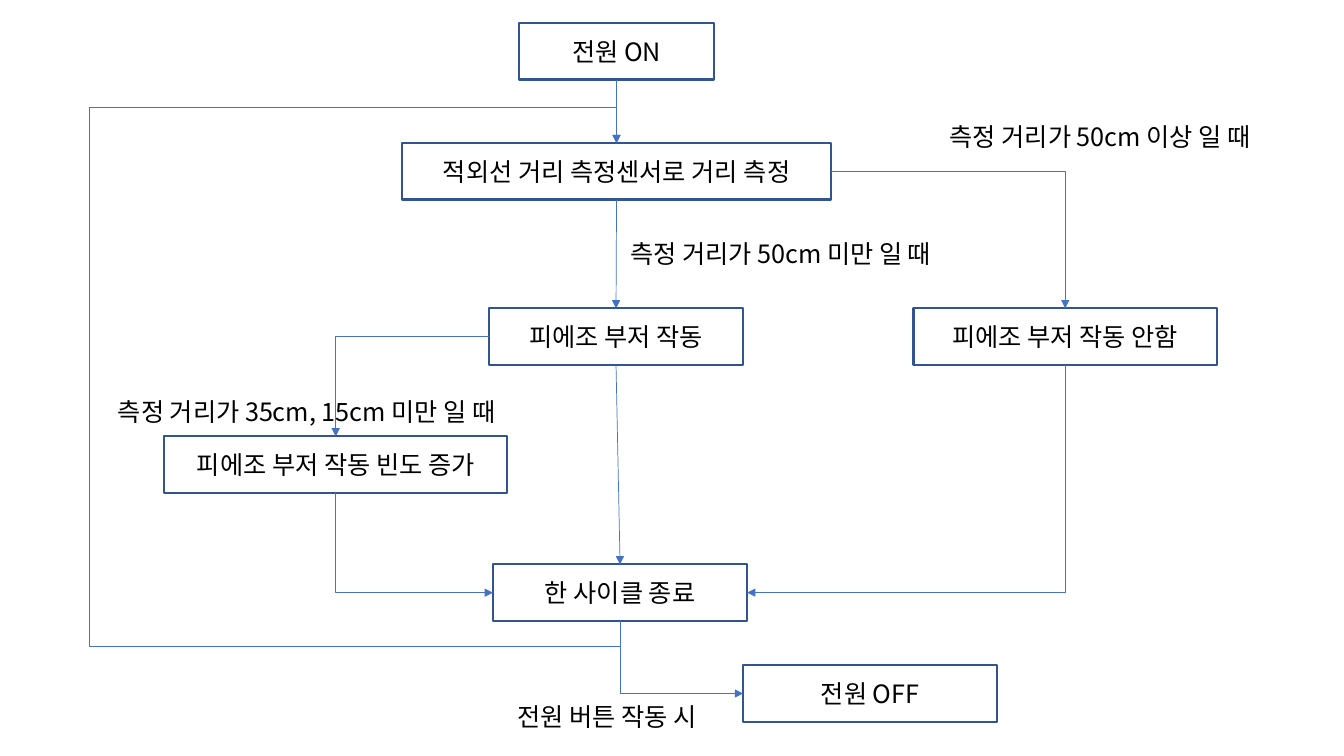
from pptx import Presentation
from pptx.dml.color import RGBColor
from pptx.enum.shapes import MSO_CONNECTOR, MSO_SHAPE
from pptx.enum.text import MSO_ANCHOR, PP_ALIGN
from pptx.oxml.ns import qn
from pptx.util import Inches, Pt
from lxml.etree import SubElement

TOP, LEFT, BOTTOM, RIGHT = range(4)


def color(value):
    return RGBColor.from_string(value)


def site(shape, side):
    middle_x = shape.left + shape.width // 2
    middle_y = shape.top + shape.height // 2
    return {
        TOP: (middle_x, shape.top),
        LEFT: (shape.left, middle_y),
        BOTTOM: (middle_x, shape.top + shape.height),
        RIGHT: (shape.left + shape.width, middle_y),
    }[side]


class FlowChart:
    font = "Noto Sans CJK KR"
    size = Pt(18)
    text_color = "000000"
    border_color = "325491"
    arrow_color = "4472C4"
    box_height = 0.56

    def __init__(self, slide):
        self.slide = slide

    def set_text(self, shape, text, alignment, anchor):
        frame = shape.text_frame
        frame.text = text
        frame.word_wrap = True
        frame.vertical_anchor = anchor
        paragraph = frame.paragraphs[0]
        paragraph.alignment = alignment
        for run in paragraph.runs:
            run.font.name = self.font
            run.font.size = self.size
            run.font.color.rgb = color(self.text_color)
            SubElement(run.font._element, qn("a:ea"), typeface=self.font)

    def box(self, text, left, top, width):
        shape = self.slide.shapes.add_shape(
            MSO_SHAPE.RECTANGLE, Inches(left), Inches(top), Inches(width), Inches(self.box_height))
        shape.shadow.inherit = False
        shape.fill.background()
        shape.line.color.rgb = color(self.border_color)
        shape.line.width = Pt(1.5)
        self.set_text(shape, text, PP_ALIGN.CENTER, MSO_ANCHOR.MIDDLE)
        return shape

    def label(self, text, left, top, width):
        shape = self.slide.shapes.add_textbox(
            Inches(left), Inches(top), Inches(width), Inches(0.4))
        self.set_text(shape, text, PP_ALIGN.LEFT, MSO_ANCHOR.TOP)

    def connector(self, kind, begin, end):
        connector = self.slide.shapes.add_connector(kind, *begin, *end)
        connector.line.color.rgb = color(self.arrow_color)
        connector.line.width = Pt(0.5)
        properties = connector._element.spPr
        SubElement(properties.find(qn("a:ln")), qn("a:tailEnd"), type="triangle")
        SubElement(properties, qn("a:effectLst"))
        return connector

    def arrow(self, source, target):
        connector = self.connector(
            MSO_CONNECTOR.STRAIGHT, site(source, BOTTOM), site(target, TOP))
        connector.begin_connect(source, BOTTOM)
        connector.end_connect(target, TOP)

    def elbow(self, begin, end, vertical_first=False, preset="bentConnector2", adjustments=()):
        turn = 0
        if vertical_first:
            (x1, y1), (x2, y2) = begin, end
            center_x, center_y = (x1 + x2) // 2, (y1 + y2) // 2
            turn = 1 if x2 < x1 else -1
            half_x, half_y = turn * (x2 - x1) // 2, turn * (y2 - y1) // 2
            begin = center_x - half_y, center_y + half_x
            end = center_x + half_y, center_y - half_x
        connector = self.connector(MSO_CONNECTOR.ELBOW, begin, end)
        properties = connector._element.spPr
        if turn:
            properties.find(qn("a:xfrm")).set("rot", str(turn * 90 % 360 * 60000))
        geometry = properties.find(qn("a:prstGeom"))
        geometry.set("prst", preset)
        guides = geometry.find(qn("a:avLst"))
        for number, value in enumerate(adjustments, 1):
            SubElement(guides, qn("a:gd"), name=f"adj{number}", fmla=f"val {round(value * 100000)}")

    def loop(self, begin, end, below, left, above):
        (x1, y1), (x2, y2) = begin, end
        adjustments = [(y1 - below) / (y1 - y2), (x1 - left) / (x1 - x2), (y1 - above) / (y1 - y2)]
        self.elbow(begin, end, True, "bentConnector5", adjustments)


presentation = Presentation()
presentation.slide_width = Inches(13.33)
presentation.slide_height = Inches(7.5)
slide = presentation.slides.add_slide(presentation.slide_layouts[6])
chart = FlowChart(slide)

power_on = chart.box("전원 ON", 5.15, 0.23, 1.93)
measure = chart.box("적외선 거리 측정센서로 거리 측정", 3.99, 1.42, 4.25)
buzzer_on = chart.box("피에조 부저 작동", 4.85, 3.06, 2.52)
buzzer_off = chart.box("피에조 부저 작동 안함", 9.06, 3.06, 3.01)
buzzer_faster = chart.box("피에조 부저 작동 빈도 증가", 1.63, 4.33, 3.4)
cycle_end = chart.box("한 사이클 종료", 4.89, 5.6, 2.52)
power_off = chart.box("전원 OFF", 7.37, 6.6, 2.52)

chart.label("측정 거리가 50cm 이상 일 때", 9.32, 1.15, 3.52)
chart.label("측정 거리가 50cm 미만 일 때", 6.15, 2.32, 3.52)
chart.label("측정 거리가 35cm, 15cm 미만 일 때", 1.07, 3.88, 4.35)
chart.label("전원 버튼 작동 시", 5.03, 6.91, 2.24)

for source, target in [(power_on, measure), (measure, buzzer_on), (buzzer_on, cycle_end)]:
    chart.arrow(source, target)

chart.elbow(site(buzzer_on, LEFT), site(buzzer_faster, TOP))
chart.elbow(site(measure, RIGHT), site(buzzer_off, TOP))
for source, target, side in [
    (buzzer_off, cycle_end, RIGHT),
    (buzzer_faster, cycle_end, LEFT),
    (cycle_end, power_off, LEFT),
]:
    chart.elbow(site(source, BOTTOM), site(target, side), vertical_first=True)
chart.loop(site(cycle_end, BOTTOM), site(measure, TOP), Inches(6.41), Inches(0.89), Inches(1.07))

presentation.save("out.pptx")
